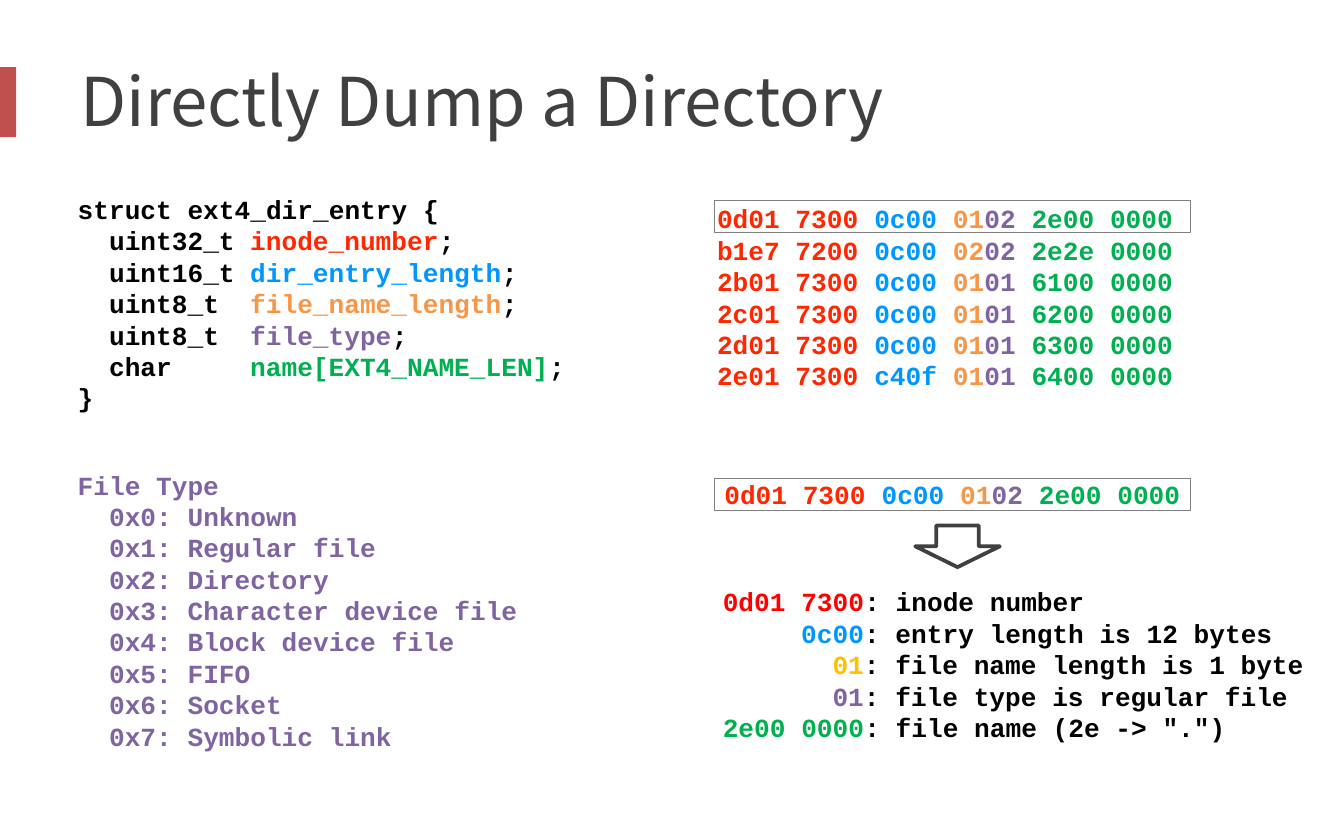
import pptx
import pptx.util
from pptx.dml.color import RGBColor
from pptx.enum.shapes import MSO_SHAPE
from pptx.enum.text import MSO_ANCHOR, MSO_AUTO_SIZE, PP_ALIGN

WIDTH, HEIGHT = pptx.util.Inches(10), pptx.util.Inches(6.25)
COL, ROW = WIDTH / 100, HEIGHT / 125
CODE_SIZE = 14
CHAR = pptx.util.Pt(CODE_SIZE * 0.6)

BLACK = RGBColor(0x00, 0x00, 0x00)
DARK = RGBColor(0x40, 0x40, 0x40)
GRAY = RGBColor(0x80, 0x80, 0x80)
BRICK = RGBColor(0xC0, 0x50, 0x4D)
INODE = RGBColor(0xFF, 0x26, 0x00)
RED = RGBColor(0xFF, 0x00, 0x00)
BLUE = RGBColor(0x00, 0x96, 0xFF)
ORANGE = RGBColor(0xF7, 0x96, 0x46)
GOLD = RGBColor(0xFF, 0xC0, 0x00)
PURPLE = RGBColor(0x80, 0x64, 0xA2)
GREEN = RGBColor(0x00, 0xB0, 0x50)

ENTRIES = [
    "0d01 7300 0c00 0102 2e00 0000 ",
    "b1e7 7200 0c00 0202 2e2e 0000 ",
    "2b01 7300 0c00 0101 6100 0000 ",
    "2c01 7300 0c00 0101 6200 0000 ",
    "2d01 7300 0c00 0101 6300 0000 ",
    "2e01 7300 c40f 0101 6400 0000 ",
]
ENTRY_PARTS = [(0, 10, INODE), (10, 15, BLUE), (15, 17, ORANGE), (17, 20, PURPLE), (20, 30, GREEN)]
FIELDS = [
    ("uint32_t", "inode_number", INODE),
    ("uint16_t", "dir_entry_length", BLUE),
    ("uint8_t", "file_name_length", ORANGE),
    ("uint8_t", "file_type", PURPLE),
    ("char", "name[EXT4_NAME_LEN]", GREEN),
]
FILE_TYPES = ["Unknown", "Regular file", "Directory", "Character device file",
              "Block device file", "FIFO", "Socket", "Symbolic link"]
MEANINGS = [
    ("0d01 7300", RED, "inode number"),
    ("0c00", BLUE, "entry length is 12 bytes"),
    ("01", GOLD, "file name length is 1 byte"),
    ("01", PURPLE, "file type is regular file"),
    ("2e00 0000", GREEN, 'file name (2e -> ".")'),
]
KEY_WIDTH = max(len(key) for key, _, _ in MEANINGS)


def grid(x, y, w, h):
    return [round(v) for v in (x * COL, y * ROW, w * COL, h * ROW)]


def add_run(p, text, color=BLACK, size=CODE_SIZE, font="Courier New", bold=True):
    r = p.add_run()
    r.text = text
    r.font.name = font
    r.font.size = pptx.util.Pt(size)
    r.font.bold = bold
    r.font.color.rgb = color


def add_title(s, text):
    sp = s.shapes.title
    sp.left, sp.top, sp.width, sp.height = grid(5, 5, 90, 19.6)
    tf = sp.text_frame
    tf.auto_size = MSO_AUTO_SIZE.NONE
    tf.vertical_anchor = MSO_ANCHOR.MIDDLE
    p = tf.paragraphs[0]
    p.alignment = PP_ALIGN.LEFT
    add_run(p, text, color=DARK, size=36, font="Noto Sans CJK SC", bold=False)


def add_code(s, box, lines, align=PP_ALIGN.LEFT, wrap=True):
    tf = s.shapes.add_textbox(*grid(*box)).text_frame
    tf.word_wrap = wrap
    tf.auto_size = MSO_AUTO_SIZE.SHAPE_TO_FIT_TEXT
    for i, (first, rest, runs) in enumerate(lines):
        p = tf.add_paragraph() if i else tf.paragraphs[0]
        p.alignment = align
        pPr = p._p.get_or_add_pPr()
        pPr.set("marL", str(rest * CHAR))
        pPr.set("indent", str((first - rest) * CHAR))
        for text, color in runs:
            add_run(p, text, color=color)


def add_shape(s, kind, box, fill=None, line=None, weight=0.25):
    sp = s.shapes.add_shape(kind, *grid(*box))
    sp.shadow.inherit = False
    if fill is None:
        sp.fill.background()
    else:
        sp.fill.solid()
        sp.fill.fore_color.rgb = fill
    if line is None:
        sp.line.fill.background()
    else:
        sp.line.color.rgb = line
        sp.line.width = pptx.util.Pt(weight)


def entry_line(entry):
    return 0, 0, [(entry[a:b], color) for a, b, color in ENTRY_PARTS]


def struct_lines():
    fields = [(2, 11, [(kind + "\t", BLACK), (name, color), (";", BLACK)])
              for kind, name, color in FIELDS]
    return [(0, 0, [("struct ext4_dir_entry {", BLACK)]), *fields, (0, 0, [("}", BLACK)])]


def file_type_lines():
    types = [(2, 2, [(f"0x{i}: {name}", PURPLE)]) for i, name in enumerate(FILE_TYPES)]
    return [(0, 0, [("File Type", PURPLE)]), *types]


def meaning_lines():
    return [(KEY_WIDTH - len(key), KEY_WIDTH - len(key), [(key, color), (": " + text, BLACK)])
            for key, color, text in MEANINGS]


def main():
    prs = pptx.Presentation()
    prs.slide_width, prs.slide_height = WIDTH, HEIGHT
    s = prs.slides.add_slide(prs.slide_layouts[5])
    add_shape(s, MSO_SHAPE.RECTANGLE, (-0.6, 10, 1.8, 10.4), fill=BRICK)
    add_title(s, "Directly Dump a Directory")
    add_code(s, (50, 29.2, 41.8, 30.2), [entry_line(e) for e in ENTRIES], align=PP_ALIGN.CENTER)
    add_code(s, (4.8, 27.8, 52.8, 35), struct_lines())
    add_code(s, (52.8, 70.2, 37.3, 6.8), [entry_line(ENTRIES[0])], align=PP_ALIGN.CENTER, wrap=False)
    add_code(s, (52.8, 86.2, 52, 25.6), meaning_lines())
    add_code(s, (4.8, 68.8, 40.2, 44.4), file_type_lines())
    add_shape(s, MSO_SHAPE.DOWN_ARROW, (68.1, 78.2, 6.3, 6.2), line=DARK, weight=2)
    for y in (29.8, 71.2):
        add_shape(s, MSO_SHAPE.RECTANGLE, (53.15, y, 35.4, 4.8), line=GRAY)
    prs.save("out.pptx")


if __name__ == "__main__":
    main()
